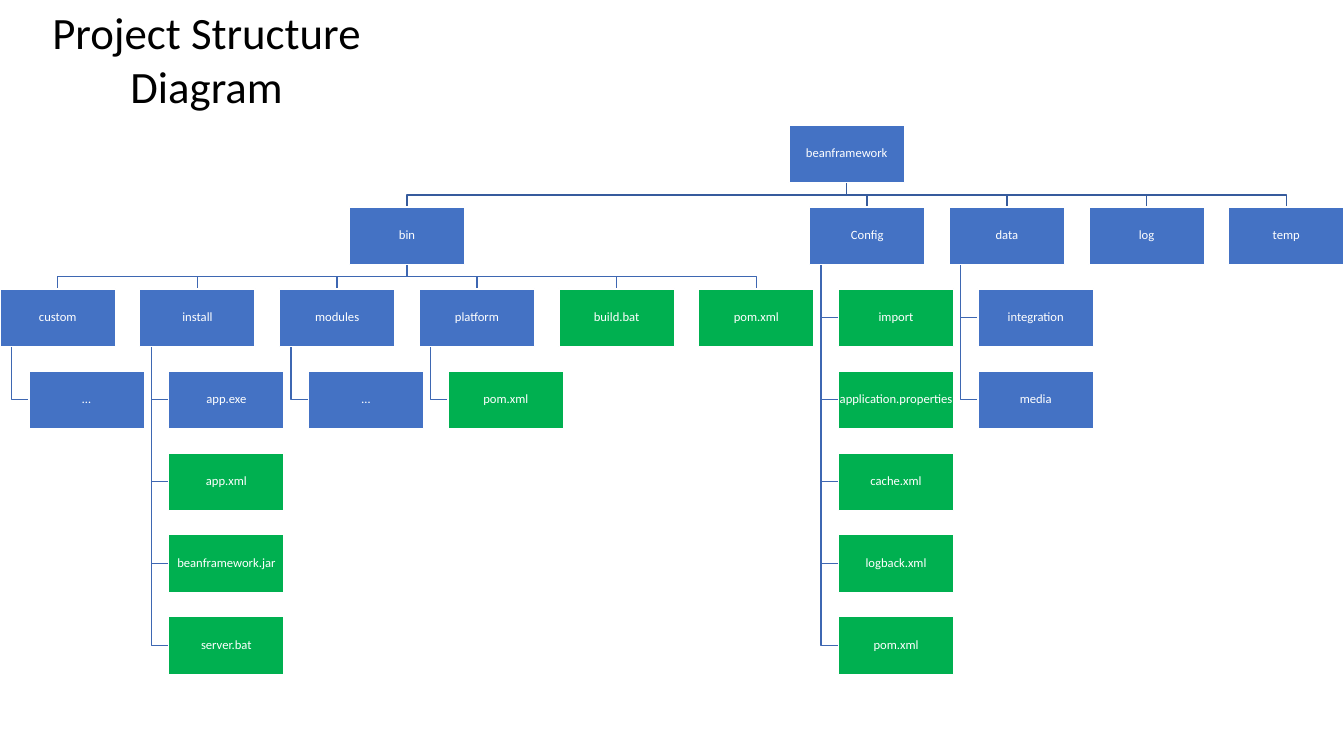
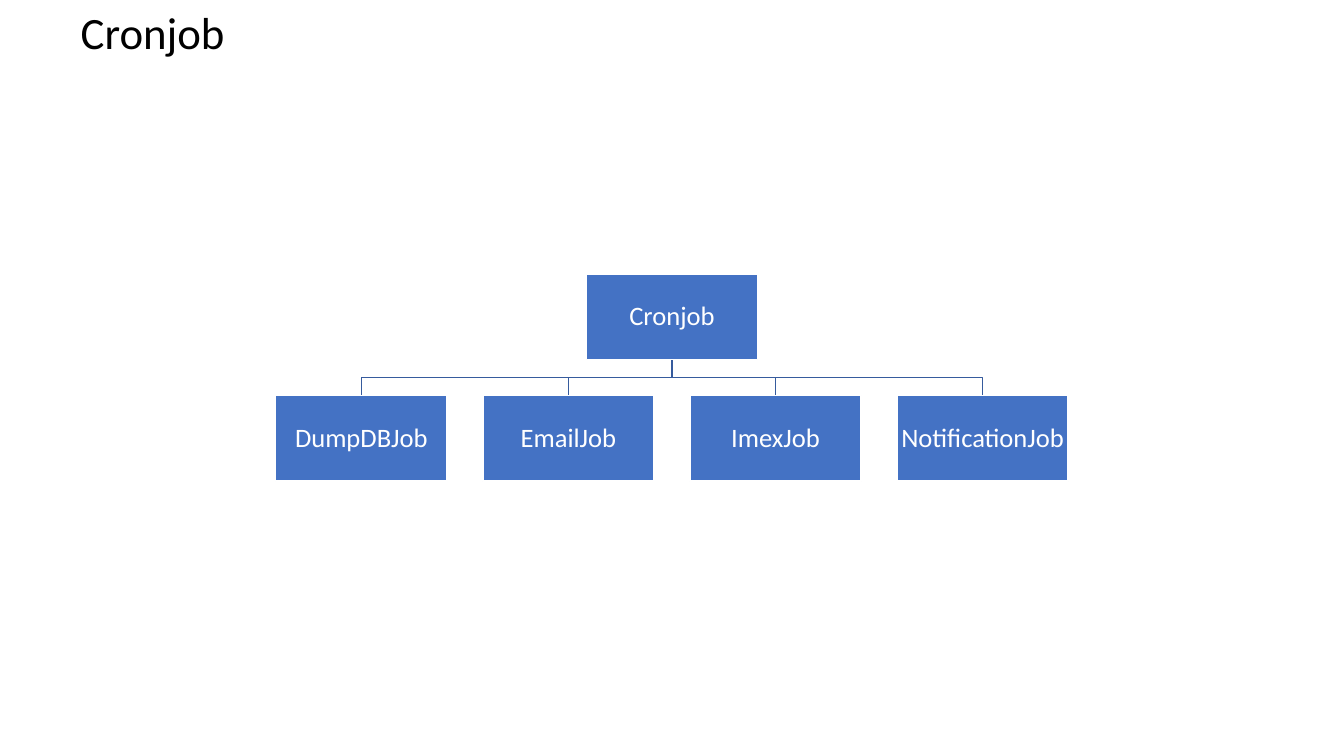
import dataclasses

import pptx
import pptx.dml.color
import pptx.enum.shapes
import pptx.enum.text
import pptx.util

Inches = pptx.util.Inches
RGBColor = pptx.dml.color.RGBColor

BLUE = RGBColor(0x44, 0x72, 0xC4)
GREEN = RGBColor(0x00, 0xB0, 0x50)
WHITE = RGBColor(0xFF, 0xFF, 0xFF)
BLACK = RGBColor(0x00, 0x00, 0x00)
LINE_COLOURS = [RGBColor(0x36, 0x5B, 0x9D), RGBColor(0x3E, 0x67, 0xB2)]  # by depth
FONT = "Calibri"
SLIDE_WIDTH, SLIDE_HEIGHT = 13.33, 7.5

# Tree proportions, as multiples of the box width
BOX_HEIGHT = 0.5
COLUMN_STEP = 1.21
ROW_STEP = 0.71
HANG_INDENT = 0.25
TRUNK_INSET = 0.1


@dataclasses.dataclass
class Node:
    text: str
    children: list = dataclasses.field(default_factory=list)
    hanging: bool = False
    fill: RGBColor = BLUE
    # Place in the tree, in box widths
    left: float = 0
    top: float = 0


def folder(text, *children):
    """A node whose children hang below it in one column."""
    return Node(text, list(children), hanging=True)


def file(text):
    return Node(text, fill=GREEN)


PROJECT = Node("beanframework", [
    Node("bin", [
        folder("custom", Node("…")),
        folder("install", Node("app.exe"), file("app.xml"),
               file("beanframework.jar"), file("server.bat")),
        folder("modules", Node("…")),
        folder("platform", file("pom.xml")),
        file("build.bat"),
        file("pom.xml"),
    ]),
    folder("Config", file("import"), file("application.properties"),
           file("cache.xml"), file("logback.xml"), file("pom.xml")),
    folder("data", Node("integration"), Node("media")),
    Node("log"),
    Node("temp"),
])
CRONJOB = Node("Cronjob", [Node(name) for name in (
    "DumpDBJob", "EmailJob", "ImexJob", "NotificationJob")])


def style_text(frame, text, size, colour):
    frame.text = text
    para = frame.paragraphs[0]
    para.alignment = pptx.enum.text.PP_ALIGN.CENTER
    font = para.runs[0].font
    font.name, font.size, font.color.rgb = FONT, pptx.util.Pt(size), colour
    return para


def add_page(deck, title, width, height):
    """Title-only page with its title in the top left corner."""
    page = deck.slides.add_slide(deck.slide_layouts[5])
    box = page.shapes.title
    box.left, box.top = Inches(0), Inches(0)
    box.width, box.height = Inches(width), Inches(height)
    frame = box.text_frame
    frame.word_wrap = True
    frame.auto_size = pptx.enum.text.MSO_AUTO_SIZE.NONE
    frame.vertical_anchor = pptx.enum.text.MSO_ANCHOR.TOP
    style_text(frame, title, 32, BLACK)
    return page


def arrange(node, left=0, top=0):
    """Place a branch from its left edge; return the next free left."""
    node.left, node.top = left, top
    following = left + COLUMN_STEP
    if node.hanging:
        for row, child in enumerate(node.children, 1):
            arrange(child, left + HANG_INDENT, top + row * ROW_STEP)
    elif node.children:
        following = left
        for child in node.children:
            following = arrange(child, following, top + ROW_STEP)
        # Centre the parent; its neighbour may tuck in by one indent
        node.left = (node.children[0].left + node.children[-1].left) / 2
        following -= HANG_INDENT
    return following


def link_points(parent, child):
    """Corners of the bent line from a parent to one child."""
    bottom = parent.top + BOX_HEIGHT
    if parent.hanging:
        trunk = parent.left + TRUNK_INSET
        middle = child.top + BOX_HEIGHT / 2
        return [(trunk, bottom), (trunk, middle), (child.left, middle)]
    start, end = parent.left + 0.5, child.left + 0.5
    bus = (bottom + child.top) / 2
    return [(start, bottom), (start, bus), (end, bus), (end, child.top)]


def add_links(page, node, left, top, width, depth=0):
    for child in node.children:
        start, *rest = [(Inches(left + x * width), Inches(top + y * width))
                        for x, y in link_points(node, child)]
        builder = page.shapes.build_freeform(*start)
        builder.add_line_segments(rest, close=False)
        link = builder.convert_to_shape()
        link.shadow.inherit = False
        link.fill.background()
        link.line.color.rgb = LINE_COLOURS[min(depth, 1)]
        link.line.width = pptx.util.Pt(1)
        add_links(page, child, left, top, width, depth + 1)


def add_boxes(page, node, left, top, width, size):
    box = page.shapes.add_shape(
        pptx.enum.shapes.MSO_SHAPE.RECTANGLE,
        Inches(left + node.left * width), Inches(top + node.top * width),
        Inches(width), Inches(width * BOX_HEIGHT))
    box.shadow.inherit = False
    box.fill.solid()
    box.fill.fore_color.rgb = node.fill
    box.line.color.rgb = WHITE
    box.line.width = pptx.util.Pt(1)
    frame = box.text_frame
    frame.word_wrap = False
    frame.vertical_anchor = pptx.enum.text.MSO_ANCHOR.MIDDLE
    frame.margin_left = frame.margin_right = Inches(0.01)
    frame.margin_top = frame.margin_bottom = Inches(0.01)
    style_text(frame, node.text, size, WHITE).line_spacing = 0.9
    for child in node.children:
        add_boxes(page, child, left, top, width, size)


def add_tree(page, root, left, top, width, size):
    """Tree of boxes of the given width, with its lines behind them."""
    arrange(root)
    add_links(page, root, left, top, width)
    add_boxes(page, root, left, top, width, size)


def add_project_page(deck):
    page = add_page(deck, "Project Structure Diagram", 4.1, 1.18)
    # Nine columns less one indent fill the slide from edge to edge
    width = SLIDE_WIDTH / (9 * COLUMN_STEP + 1 - HANG_INDENT)
    add_tree(page, PROJECT, 0, 1.24, width, 9)


def add_cronjob_page(deck):
    page = add_page(deck, "Cronjob", 3.03, 0.64)
    span = 7.86
    width = span / ((len(CRONJOB.children) - 1) * COLUMN_STEP + 1)
    add_tree(page, CRONJOB, (SLIDE_WIDTH - span) / 2, 2.72, width, 19)


def main():
    deck = pptx.Presentation()
    deck.slide_width, deck.slide_height = Inches(SLIDE_WIDTH), Inches(SLIDE_HEIGHT)
    add_project_page(deck)
    add_cronjob_page(deck)
    deck.save("out.pptx")


if __name__ == "__main__":
    main()
